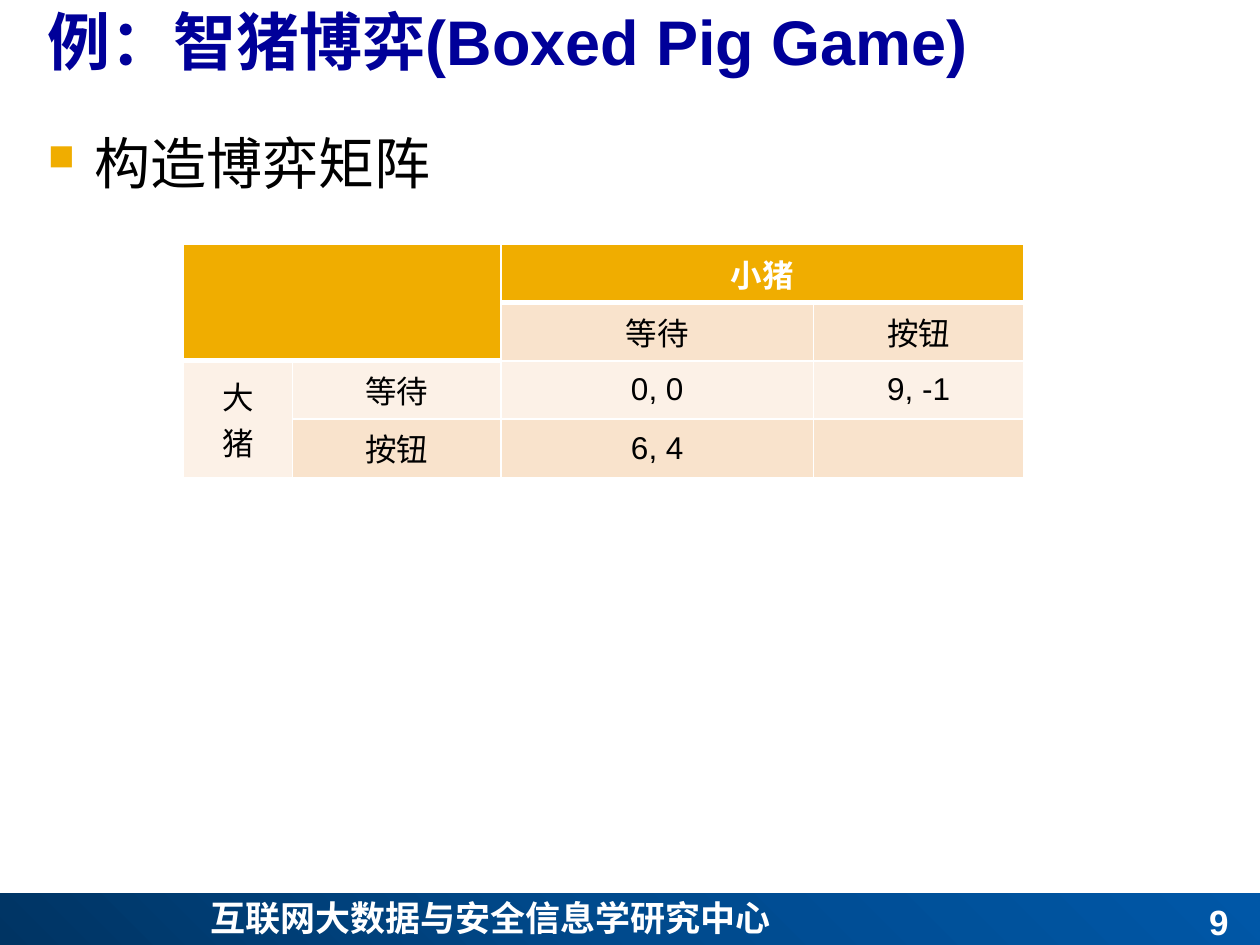
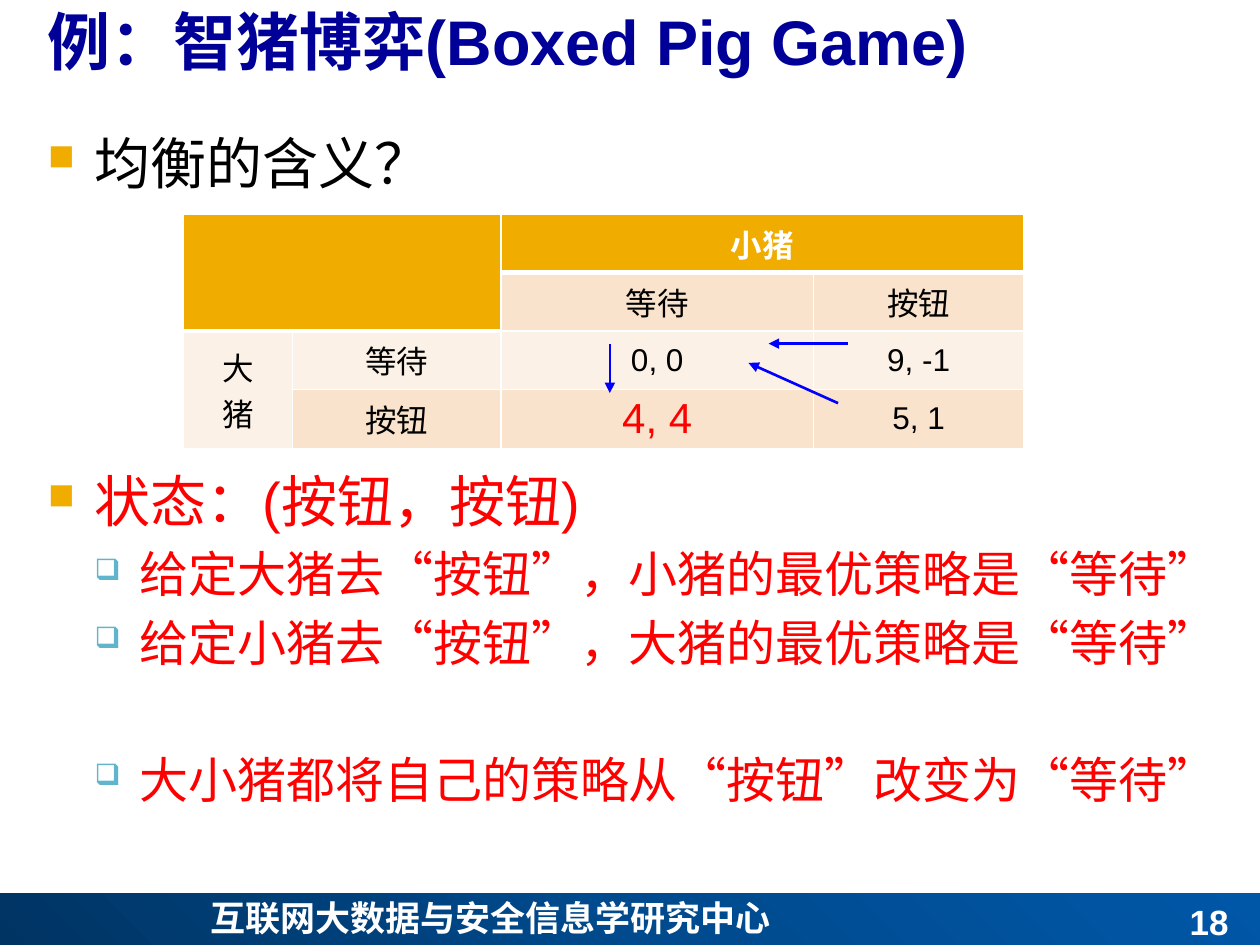
from lxml import etree
from pptx import Presentation
from pptx.dml.color import RGBColor
from pptx.enum.shapes import MSO_CONNECTOR, MSO_SHAPE
from pptx.enum.text import MSO_ANCHOR, PP_ALIGN
from pptx.oxml.ns import qn
from pptx.util import Pt

RECT = MSO_SHAPE.RECTANGLE
STRAIGHT = MSO_CONNECTOR.STRAIGHT
TOP, MIDDLE, BOTTOM = MSO_ANCHOR.TOP, MSO_ANCHOR.MIDDLE, MSO_ANCHOR.BOTTOM
LEFT, CENTER, RIGHT, JUSTIFY = PP_ALIGN.LEFT, PP_ALIGN.CENTER, PP_ALIGN.RIGHT, PP_ALIGN.JUSTIFY

COLORS = {
    "title": "000099", "text": "000000", "white": "FFFFFF", "red": "FF0000",
    "gold": "F0AD00", "peach": "F9E3CC", "cream": "FCF1E7", "teal": "60B5CC",
    "arrow": "0000FF", "navy": "003463", "blue": "004A8D", "sky": "0057A7",
}
LATIN, CJK, SYMBOLS = "Arial", "Noto Sans CJK SC", "Wingdings"

TITLE = "例：智猪博弈(Boxed Pig Game)"
CENTER_NAME = "互联网大数据与安全信息学研究中心"
TITLE_BOX = (20.2, -2.2, 708.6, 56.9)
BODY_BOX = (20.2, 69.8, 697.7, 416.2)
BAND_BOX = (0, 510.5, 720, 31.7)

COL_WIDTHS = (62.3, 119.1, 178.6, 120.2)
ROW_HEIGHT = 33.3
LABEL_COLS = 2
BULLETS = {
    0: dict(char="n", color="gold", percent=65, margin=26.6, hang=26.6, size=32),
    1: dict(char="q", color="teal", percent=60, margin=52.5, hang=25.7, size=28),
}


def rgb(name):
    return RGBColor.from_string(COLORS[name])


def add_xml(parent, tag, **attrs):
    return etree.SubElement(parent, qn(tag), {k: str(v) for k, v in attrs.items()})


def add_color(parent, name):
    return add_xml(parent, "a:srgbClr", val=COLORS[name])


def write(p, text, size, color="text", bold=False, align=LEFT, font=LATIN):
    p.add_run().text = text
    p.alignment = align
    f = p.font
    f.name, f.size, f.bold = font, Pt(size), bold
    f.color.rgb = rgb(color)
    add_xml(p._p.pPr.find(qn("a:defRPr")), "a:ea", typeface=CJK)


def add_frame(s, box, anchor=TOP):
    tf = s.shapes.add_textbox(*map(Pt, box)).text_frame
    tf.word_wrap = True
    tf.vertical_anchor = anchor
    return tf


def add_label(s, box, text, size, anchor=TOP, **style):
    write(add_frame(s, box, anchor).paragraphs[0], text, size, **style)


def add_band(s, box, number):
    x, y, w, h = box
    band = s.shapes.add_shape(RECT, *map(Pt, box))
    band.shadow.inherit = False
    band.line.fill.background()
    band.fill.gradient()
    grad = band._element.spPr.find(qn("a:gradFill"))
    for child in list(grad):
        grad.remove(child)
    stops = add_xml(grad, "a:gsLst")
    for pos, name in ((0, "navy"), (50, "blue"), (100, "sky")):
        add_color(add_xml(stops, "a:gs", pos=pos * 1000), name)
    circle = add_xml(grad, "a:path", path="circle")
    add_xml(circle, "a:fillToRect", l=0, t=100000, r=100000, b=0)
    add_label(s, (x + 113, y - 1.5, 493, h), CENTER_NAME, 20,
              color="white", bold=True, align=JUSTIFY, font=CJK)
    add_label(s, (x + w - 178.6, y, 167.8, h), str(number), 20, anchor=BOTTOM,
              color="white", bold=True, align=RIGHT)


def add_bullets(s, box, items):
    tf = add_frame(s, box)
    for i, (level, text, color, gap) in enumerate(items):
        p = tf.add_paragraph() if i else tf.paragraphs[0]
        b = BULLETS[level]
        p.level = level
        pPr = p._p.get_or_add_pPr()
        pPr.set("marL", str(Pt(b["margin"])))
        pPr.set("indent", str(-Pt(b["hang"])))
        add_color(add_xml(pPr, "a:buClr"), b["color"])
        add_xml(pPr, "a:buSzPct", val=b["percent"] * 1000)
        add_xml(pPr, "a:buFont", typeface=SYMBOLS, charset=2)
        add_xml(pPr, "a:buChar", char=b["char"])
        write(p, text, b["size"], color)
        p.space_before = Pt(gap)


def add_borders(cell, **widths):
    tcPr = cell._tc.get_or_add_tcPr()
    for side in "LRTB":
        ln = add_xml(tcPr, "a:ln" + side, w=Pt(widths.get(side, 1)))
        add_color(add_xml(ln, "a:solidFill"), "white")


def add_matrix(s, left, top, payoffs, equilibrium=None):
    rows = [
        ["", "", "小猪", ""],
        ["", "", "等待", "按钮"],
        ["大\n猪", "等待", *payoffs[0]],
        ["", "按钮", *payoffs[1]],
    ]
    t = s.shapes.add_table(len(rows), len(COL_WIDTHS), Pt(left), Pt(top),
                           Pt(sum(COL_WIDTHS)), Pt(ROW_HEIGHT * len(rows))).table
    for col, width in zip(t.columns, COL_WIDTHS):
        col.width = Pt(width)
    for r, texts in enumerate(rows):
        t.rows[r].height = Pt(ROW_HEIGHT)
        for c, text in enumerate(texts):
            cell = t.cell(r, c)
            header_rows = 2 if c < LABEL_COLS else 1
            header = r < header_rows
            add_borders(cell, T=3 if r == header_rows else 1, B=3 if header else 1)
            cell.fill.solid()
            merged_label = r > 1 and c == 0
            plain = "cream" if r == 2 or merged_label else "peach"
            cell.fill.fore_color.rgb = rgb("gold" if header else plain)
            cell.vertical_anchor = MIDDLE
            if not text:
                continue
            marked = (r, c) == equilibrium
            if marked:
                cell.margin_top = cell.margin_bottom = Pt(2.5)
            color = "white" if header else "red" if marked else "text"
            tf = cell.text_frame
            for i, line in enumerate(text.split("\n")):
                p = tf.add_paragraph() if i else tf.paragraphs[0]
                write(p, line, 24 if marked else 18, color, header, CENTER)
    for start, end in (((0, 0), (1, 1)), ((0, 2), (0, 3)), ((2, 0), (3, 0))):
        t.cell(*start).merge(t.cell(*end))


def add_arrows(s, left, top, arrows):
    for x1, y1, x2, y2 in arrows:
        line = s.shapes.add_connector(STRAIGHT, Pt(left + x1), Pt(top + y1),
                                      Pt(left + x2), Pt(top + y2))
        line.line.color.rgb = rgb("arrow")
        line.line.width = Pt(1.5)
        add_xml(line.line._get_or_add_ln(), "a:tailEnd", type="triangle")
        add_xml(line._element.spPr, "a:effectLst")


def add_game_slide(prs, number, bullets):
    s = prs.slides.add_slide(prs.slide_layouts[6])
    add_band(s, BAND_BOX, number)
    add_label(s, TITLE_BOX, TITLE, 36, color="title", bold=True)
    add_bullets(s, BODY_BOX, bullets)
    return s


def main():
    prs = Presentation()
    prs.slide_width, prs.slide_height = Pt(720), Pt(540)
    left = 104.9

    s = add_game_slide(prs, 9, [(0, "构造博弈矩阵", "text", 0)])
    add_matrix(s, left, 139.6, [["0, 0", "9, -1"], ["6, 4", ""]])

    s = add_game_slide(prs, 18, [
        (0, "均衡的含义？", "text", 0),
        (0, "状态：(按钮，按钮)", "red", 155),
        (1, "给定大猪去“按钮”，小猪的最优策略是“等待”", "red", 5.6),
        (1, "给定小猪去“按钮”，大猪的最优策略是“等待”", "red", 5.6),
        (1, "大小猪都将自己的策略从“按钮”改变为“等待”", "red", 44.7),
    ])
    top = 122.6
    add_matrix(s, left, top, [["0, 0", "9, -1"], ["4, 4", "5, 1"]], equilibrium=(3, 2))
    add_arrows(s, left, top, [
        (243.6, 73.8, 243.6, 102),
        (379.7, 73.8, 334.3, 73.8),
        (374, 107.8, 322.8, 84.8),
    ])
    prs.save("out.pptx")


if __name__ == "__main__":
    main()
